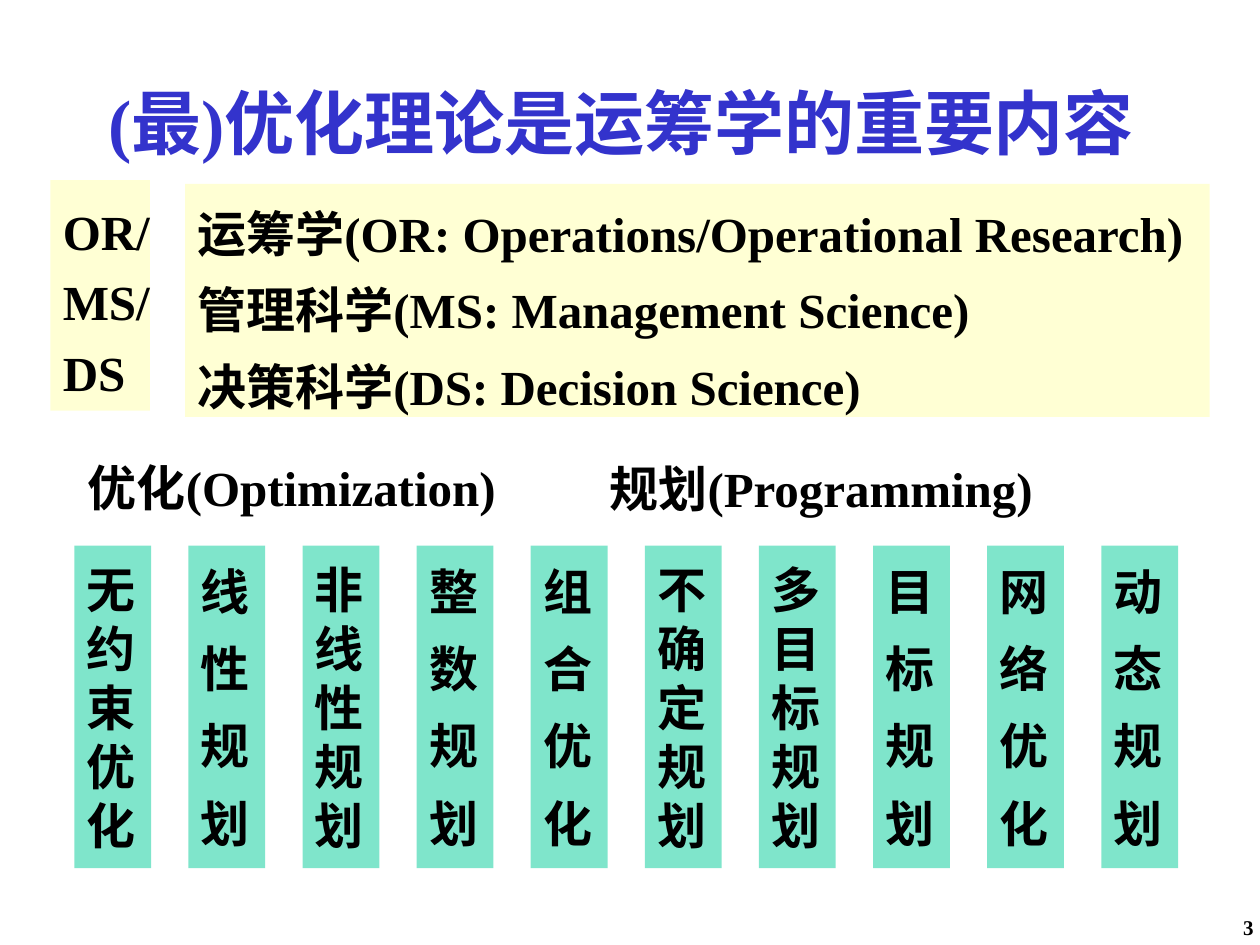
import pptx
import pptx.util
import pptx.dml.color
import pptx.enum.shapes
import pptx.enum.text
import pptx.oxml
import pptx.oxml.ns

Inches = pptx.util.Inches
Pt = pptx.util.Pt
Align = pptx.enum.text.PP_ALIGN
Anchor = pptx.enum.text.MSO_ANCHOR

FONT = "Times New Roman"
BLACK, BLUE, YELLOW, GREEN = "000000", "3333CC", "FFFF66", "00CC99"

TITLE = "(最)优化理论是运筹学的重要内容"
PANELS = [
    ((0.4, 1.43, 0.79, 1.83), 1.2, ["OR/", "MS/", "DS"]),
    ((1.47, 1.46, 8.13, 1.85), 1.3, [
        "运筹学(OR: Operations/Operational Research)",
        "管理科学(MS: Management Science)",
        "决策科学(DS: Decision Science)",
    ]),
]
HEADS = [
    ((0.6, 3.45, 3.04, 0.69), "优化(Optimization)"),
    ((4.74, 3.41, 3.65, 0.79), "规划(Programming)"),
]
TOPICS = [
    "无约束优化", "线性规划", "非线性规划", "整数规划", "组合优化",
    "不确定规划", "多目标规划", "目标规划", "网络优化", "动态规划",
]
FIRST, LAST, TOP, WIDTH, HEIGHT = 0.59, 8.74, 4.33, 0.61, 2.56


def paint(color, hue):
    color.rgb = pptx.dml.color.RGBColor.from_string(hue)


def write(shape, lines, size=28, hue=BLACK, space=1.0, gaps=(0, 0),
          align=Align.LEFT, pad=(0.1, 0.05), wrap=False):
    frame = shape.text_frame
    frame.text = "\n".join(lines)
    frame.auto_size = pptx.enum.text.MSO_AUTO_SIZE.NONE
    frame.word_wrap = wrap
    frame.vertical_anchor = Anchor.MIDDLE
    frame.margin_left = frame.margin_right = Inches(pad[0])
    frame.margin_top = frame.margin_bottom = Inches(pad[1])
    for row, para in enumerate(frame.paragraphs):
        para.alignment = align
        para.line_spacing = space
        para.space_before = Pt(gaps[0] if row else 0)
        para.space_after = Pt(gaps[1])
        for run in para.runs:
            run.font.name = FONT
            run.font.size = Pt(size)
            run.font.bold = True
            paint(run.font.color, hue)


def add_block(slide, place, hue, alpha):
    kind = pptx.enum.shapes.MSO_SHAPE.RECTANGLE
    block = slide.shapes.add_shape(kind, *map(Inches, place))
    block.shadow.inherit = False
    block.line.fill.background()
    block.fill.solid()
    paint(block.fill.fore_color, hue)
    shade = block.fill._xPr.find(".//" + pptx.oxml.ns.qn("a:srgbClr"))
    clear = pptx.oxml.parse_xml(
        f'<a:alpha {pptx.oxml.ns.nsdecls("a")} val="{alpha * 1000}"/>')
    shade.append(clear)
    return block


def add_text(slide, place):
    return slide.shapes.add_textbox(*map(Inches, place))


def main():
    deck = pptx.Presentation()
    deck.slide_width, deck.slide_height = Inches(10), Inches(7.5)
    slide = deck.slides.add_slide(deck.slide_layouts[5])

    title = slide.shapes.title
    title.left, title.top = Inches(0.76), Inches(0.63)
    title.width, title.height = Inches(8.9), Inches(0.67)
    write(title, [TITLE], size=40, hue=BLUE)

    for place, space, lines in PANELS:
        write(add_block(slide, place, YELLOW, 28), lines, space=space)
    for place, text in HEADS:
        write(add_text(slide, place), [text], space=1.3)

    step = (LAST - FIRST) / (len(TOPICS) - 1)
    for col, topic in enumerate(TOPICS):
        place = (FIRST + col * step, TOP, WIDTH, HEIGHT)
        gaps = (3.5, 7) if len(topic) == 4 else (0, 0)
        write(add_block(slide, place, GREEN, 50), topic, gaps=gaps)

    number = add_text(slide, (9.6, 7.25, 0.37, 0.22))
    write(number, ["3"], size=12, align=Align.RIGHT, pad=(0.02, 0.01), wrap=True)
    deck.save("out.pptx")


if __name__ == "__main__":
    main()
